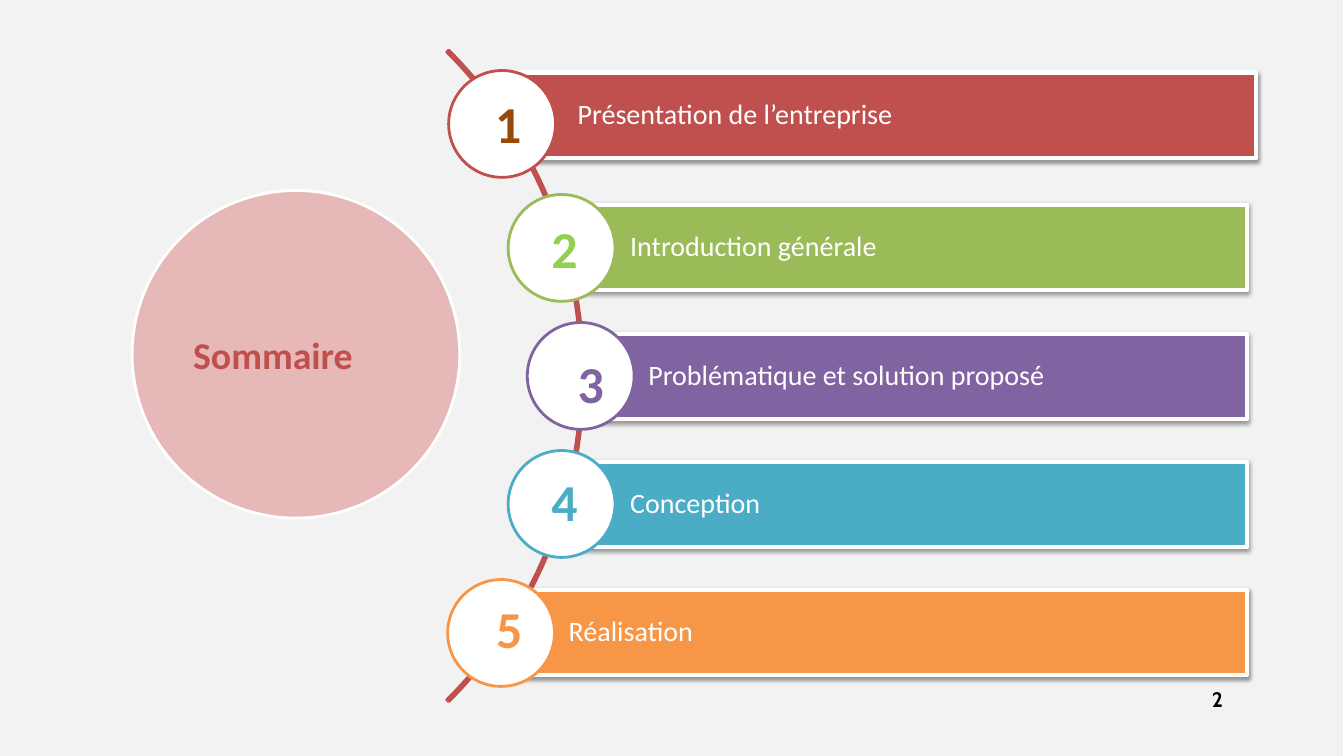
from lxml import etree
from pptx import Presentation
from pptx import util as u
from pptx.dml.color import RGBColor
from pptx.enum import shapes, text
from pptx.oxml.ns import qn

HUES = {
    "back": "F2F2F2", "white": "FFFFFF", "black": "000000",
    "red": "C0504D", "pink": "E6B9B8", "brown": "984807",
    "green": "9BBB59", "lime": "92D050", "purple": "8064A2",
    "blue": "4BACC6", "orange": "F79646",
}
KIND = shapes.MSO_SHAPE
BAR, DISC = 0.85, 1.06
RIGHT = 12.37
ROWS = [
    ("Présentation de l’entreprise", "red", "brown", (5.06, 0.72, 7.4), (4.45, 0.7), (5.04, 1.22)),
    ("Introduction générale", "green", "lime", (5.58, 2.03, 6.79), (5.04, 1.93), (5.6, 2.46)),
    ("Problématique et solution proposé", "purple", "purple", (5.76, 3.31, 6.61), (5.23, 3.2), (5.86, 3.8)),
    ("Conception", "blue", "blue", (5.58, 4.58, 6.79), (5.04, 4.47), (5.6, 4.97)),
    ("Réalisation", "orange", "orange", (4.97, 5.85, 7.4), (4.44, 5.75), (5.05, 6.23)),
]


def tint(name):
    return RGBColor.from_string(HUES[name])


def shade(shape, alpha, dist):
    zone = shape._element.spPr.find(qn("a:effectLst"))
    cast = etree.SubElement(
        zone, qn("a:outerShdw"), blurRad=str(u.Pt(3.1)), dist=str(u.Pt(dist)),
        dir="5400000", rotWithShape="0")
    ink = etree.SubElement(cast, qn("a:srgbClr"), val=HUES["black"])
    etree.SubElement(ink, qn("a:alpha"), val=str(alpha * 1000))


def draw(slide, kind, box, fill, line, width):
    shape = slide.shapes.add_shape(kind, *map(u.Inches, box))
    shape.shadow.inherit = False
    if fill:
        shape.fill.solid()
        shape.fill.fore_color.rgb = tint(fill)
    else:
        shape.fill.background()
    shape.line.color.rgb = tint(line)
    shape.line.width = u.Pt(width)
    return shape


def write(shape, words, size, hue, bold=True, face="Calibri", align="LEFT",
          anchor="MIDDLE", pads=(0.13, 0.07, 0.13, 0.07)):
    frame = shape.text_frame
    frame.text = words
    frame.word_wrap = True
    frame.vertical_anchor = text.MSO_ANCHOR[anchor]
    (frame.margin_left, frame.margin_top,
     frame.margin_right, frame.margin_bottom) = map(u.Inches, pads)
    para = frame.paragraphs[0]
    para.alignment = text.PP_ALIGN[align]
    font = para.runs[0].font
    font.name, font.size, font.bold = face, u.Pt(size), bold
    font.color.rgb = tint(hue)
    return para


def add_back(slide, box):
    shade(draw(slide, KIND.RECTANGLE, box, "back", "white", 0.75), 35, 1.8)


def add_arc(slide, box):
    arc = draw(slide, KIND.BLOCK_ARC, box, None, "red", 2)
    for i, value in enumerate((189, 27, 0.003)):
        arc.adjustments[i] = value


def add_row(slide, label, hue, bar, disc):
    shape = draw(slide, KIND.RECTANGLE, (*bar, BAR), hue, "white", 3)
    shade(shape, 38, 1.6)
    para = write(shape, label, 20, "white", bold=False, pads=(0.67, 0.06, 0.06, 0.06))
    para.line_spacing = 0.9
    draw(slide, KIND.OVAL, (*disc, DISC, DISC), "white", hue, 2)


def add_digit(slide, digit, hue, mid):
    wide, high = 1, 0.9
    box = (mid[0] - wide / 2, mid[1] - high / 2, wide, high)
    write(slide.shapes.add_textbox(*map(u.Inches, box)), digit, 37, hue, align="CENTER")


def add_title(slide, box):
    write(draw(slide, KIND.OVAL, box, "pink", "white", 2), "Sommaire", 27, "red")


def add_page(slide, box):
    write(slide.shapes.add_textbox(*map(u.Inches, box)), "2", 15, "black",
          face="Cabin", anchor="TOP")


def main():
    deck = Presentation()
    deck.slide_width, deck.slide_height = u.Inches(13.33), u.Inches(7.5)
    slide = deck.slides.add_slide(deck.slide_layouts[6])
    add_back(slide, (0, -0.08, 13.33, 7.62))
    add_arc(slide, (-3.35, -0.84, 9.14, 9.14))
    for label, hue, _, bar, disc, _ in ROWS:
        add_row(slide, label, hue, bar, disc)
    for i, (_, _, hue, _, _, mid) in enumerate(ROWS, 1):
        add_digit(slide, str(i), hue, mid)
    add_title(slide, (1.31, 1.89, 3.25, 3.25))
    add_page(slide, (11.89, 6.74, 0.51, 0.39))
    deck.save("out.pptx")


if __name__ == "__main__":
    main()
